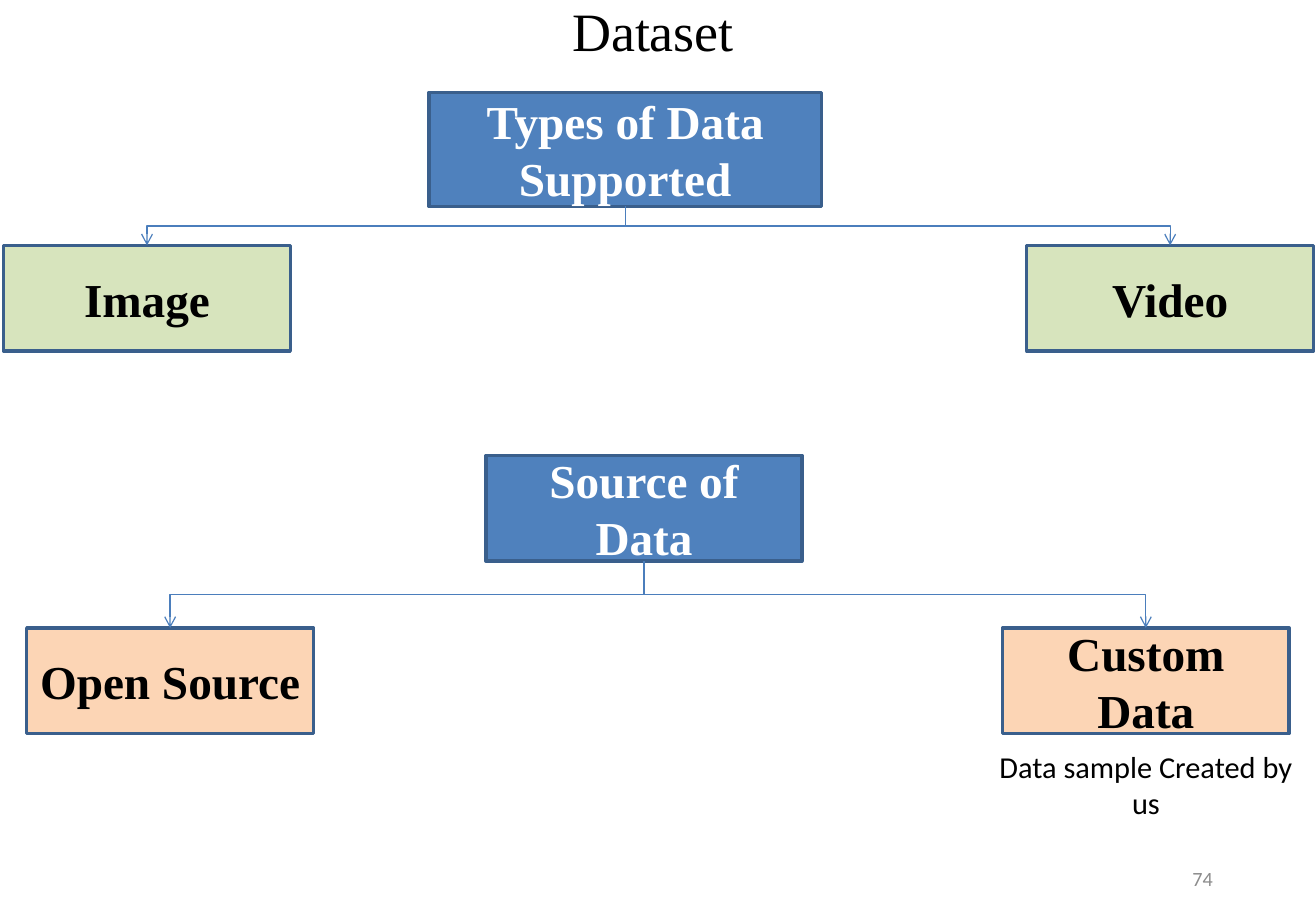
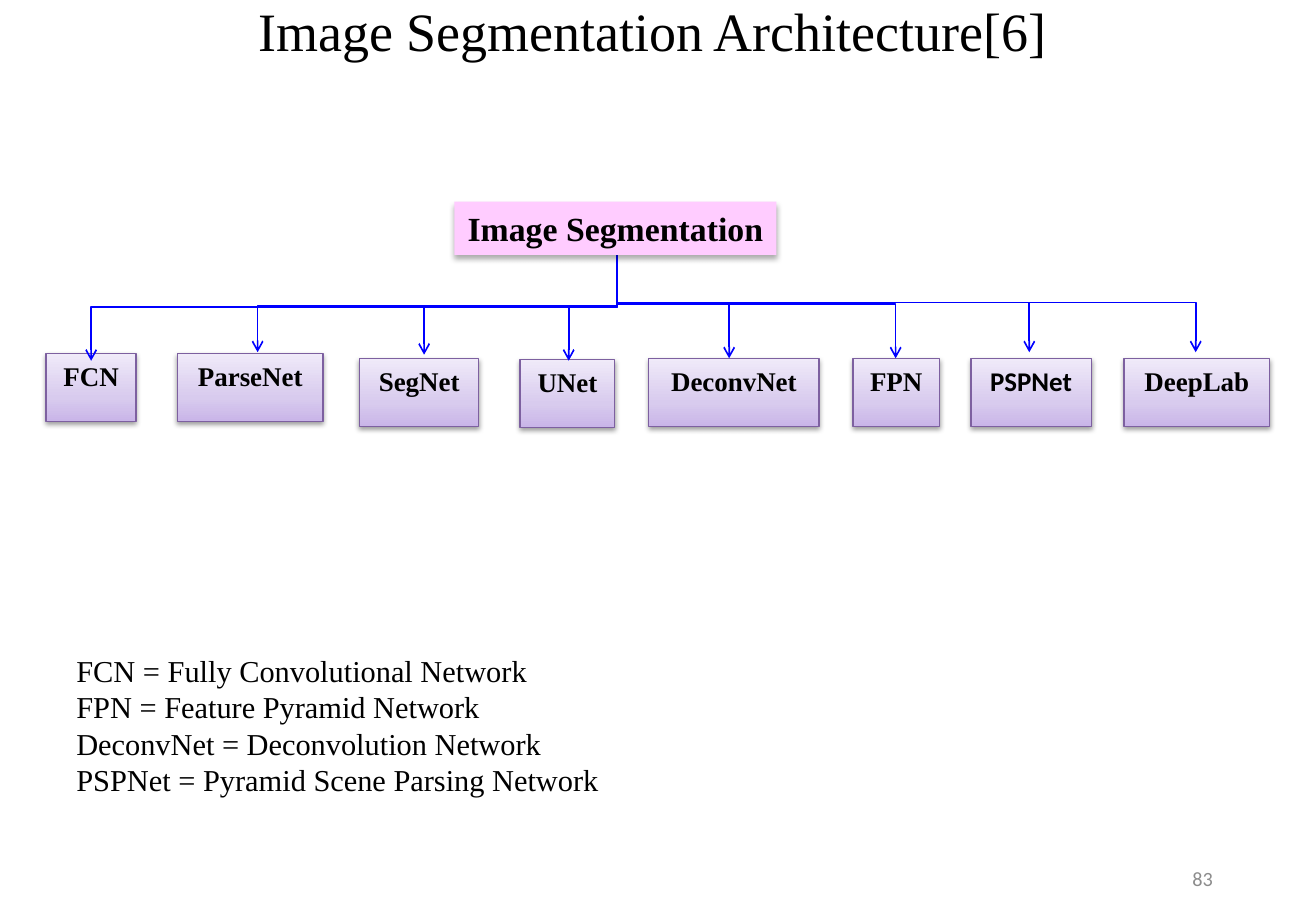
import copy

import pptx
import pptx.dml.color
import pptx.enum.shapes
import pptx.enum.text
import pptx.oxml
import pptx.oxml.ns
import pptx.util

Inches = pptx.util.Inches
Pt = pptx.util.Pt
ALIGN = pptx.enum.text.PP_ALIGN
ANCHOR = pptx.enum.text.MSO_ANCHOR
SERIF, SANS = "Times New Roman", "Calibri"

HUES = {
    "black": "000000", "white": "FFFFFF", "gray": "8C8C8C",
    "blue": "4F81BD", "edge": "3A5F8C", "link": "4B7EBC",
    "green": "D7E4BD", "peach": "FCD5B5", "pink": "FFCCFF",
    "violet": "7D60A0", "arrow": "0000FF",
    "deep": "C9B5E8", "soft": "D8CBEE", "pale": "F0EAF9",
}
FADE = [(0, "deep"), (0.35, "soft"), (1, "pale")]


def color(hue):
    return pptx.dml.color.RGBColor.from_string(HUES[hue])


def node(tag, inner="", **attrs):
    pairs = " ".join(f'{key}="{value}"' for key, value in attrs.items())
    space = pptx.oxml.ns.nsdecls("a")
    return pptx.oxml.parse_xml(f"<a:{tag} {space} {pairs}>{inner}</a:{tag}>")


class Deck:
    def __init__(self):
        self.show = pptx.Presentation()
        self.show.slide_width = Inches(10.83)
        self.show.slide_height = Inches(7.5)
        self.slide = None

    def start(self, title, number):
        """Add a slide with its title and page number."""
        self.slide = self.show.slides.add_slide(self.show.slide_layouts[5])
        head = self.slide.shapes.title
        head.left, head.top = Inches(0.5), Inches(0)
        head.width, head.height = Inches(9.75), Inches(0.5)
        self.label(head, [title], 32)
        self.text((9.58, 7.03, 0.5, 0.4), [number], 12, "gray", SANS,
                  align=ALIGN.RIGHT)

    def label(self, shape, lines, size, hue="black", font=SERIF, bold=False,
              align=ALIGN.CENTER, anchor=ANCHOR.MIDDLE, wrap=True):
        frame = shape.text_frame
        frame.auto_size = pptx.enum.text.MSO_AUTO_SIZE.NONE
        frame.word_wrap = wrap
        frame.vertical_anchor = anchor
        for index, line in enumerate(lines):
            para = frame.add_paragraph() if index else frame.paragraphs[0]
            para.alignment = align
            run = para.add_run()
            run.text = line
            run.font.size, run.font.name = Pt(size), font
            run.font.bold = bold
            run.font.color.rgb = color(hue)

    def text(self, area, lines, size, hue="black", font=SERIF, **style):
        box = self.slide.shapes.add_textbox(*map(Inches, area))
        self.label(box, lines, size, hue, font, **style)

    def box(self, area, name, size, fill=None, edge=None, width=2,
            shadow=None, **style):
        """Draw a bold label in a rectangle; no fill colour means the fade."""
        shape = self.slide.shapes.add_shape(
            pptx.enum.shapes.MSO_SHAPE.RECTANGLE, *map(Inches, area))
        shape.shadow.inherit = False
        if fill:
            shape.fill.solid()
            shape.fill.fore_color.rgb = color(fill)
        else:
            self.fade(shape)
        if edge:
            shape.line.color.rgb = color(edge)
            shape.line.width = Pt(width)
        else:
            shape.line.fill.background()
        if shadow:
            self.shade(shape, *shadow)
        self.label(shape, [name], size, bold=True, **style)

    def fade(self, shape):
        shape.fill.gradient()
        shape.fill.gradient_angle = 90
        stops = shape._element.spPr.find(".//" + pptx.oxml.ns.qn("a:gsLst"))
        stops.insert(1, copy.deepcopy(stops[0]))
        for stop, (place, hue) in zip(shape.fill.gradient_stops, FADE):
            stop.position = place
            stop.color.rgb = color(hue)

    def shade(self, shape, alpha, blur, drop):
        effects = shape._element.spPr.find(pptx.oxml.ns.qn("a:effectLst"))
        tint = (f'<a:srgbClr val="{HUES["black"]}">'
                f'<a:alpha val="{alpha * 1000}"/></a:srgbClr>')
        effects.append(node("outerShdw", tint, blurRad=Pt(blur), dist=Pt(drop),
                            dir=90 * 60000, rotWithShape=0))

    def elbow(self, x1, y1, x2, y2, hue, width):
        """Draw a down-across-down arrow: a sideways elbow, turned upright."""
        mid_x, mid_y = (x1 + x2) / 2, (y1 + y2) / 2
        left = x2 < x1
        half_w = (y2 - y1) / 2 * (1 if left else -1)
        half_h = abs(x2 - x1) / 2
        line = self.slide.shapes.add_connector(
            pptx.enum.shapes.MSO_CONNECTOR.ELBOW,
            Inches(mid_x - half_w), Inches(mid_y - half_h),
            Inches(mid_x + half_w), Inches(mid_y + half_h))
        props = line._element.spPr
        props.xfrm.set("rot", str((90 if left else 270) * 60000))
        line.line.color.rgb = color(hue)
        line.line.width = Pt(width)
        line.line._get_or_add_ln().append(node("tailEnd", type="arrow"))
        props.append(node("effectLst"))

    def tree(self, root, title, leaves, fill):
        """Draw a root box with an arrow to the top of each leaf box."""
        x, y, w, h = root
        self.box(root, title, 28, "blue", "edge", hue="white")
        for left, top, name in leaves:
            self.box((left, top, 2.36, 0.87), name, 28, fill, "edge")
            self.elbow(x + w / 2, y + h, left + 1.18, top, "link", 0.75)


def data_slide(deck):
    deck.start("Dataset", "74")
    deck.tree((4, 3.75, 2.6, 0.87), "Source of Data",
              [(0.22, 5.17, "Open Source"), (8.25, 5.17, "Custom Data")],
              "peach")
    deck.tree((3.53, 0.76, 3.23, 0.94), "Types of Data Supported",
              [(0.03, 2.02, "Image"), (8.45, 2.02, "Video")], "green")
    deck.text((8.02, 6.11, 2.82, 0.71), ["Data sample Created by us"], 18,
              font=SANS, anchor=ANCHOR.TOP)


def model_slide(deck):
    deck.start("Image Segmentation Architecture[6]", "83")
    # name, left, top, width, then arrow start y, end x, end y
    models = [
        ("FCN", 0.38, 2.91, 0.74, 2.08, 0.75, 2.97),
        ("ParseNet", 1.46, 2.91, 1.2, 2.14, 2.12, 2.9),
        ("SegNet", 2.96, 2.95, 0.98, 2.13, 3.49, 2.92),
        ("UNet", 4.28, 2.96, 0.78, 2.08, 4.68, 2.97),
        ("DeconvNet", 5.34, 2.95, 1.4, 2.06, 6, 2.95),
        ("FPN", 7.02, 2.95, 0.71, 2.06, 7.37, 2.95),
        ("PSPNet", 7.99, 2.95, 0.99, 2.08, 8.47, 2.9),
        ("DeepLab", 9.25, 2.95, 1.2, 2.08, 9.84, 2.9),
    ]
    for name, left, top, width, start, end_x, end_y in models:
        deck.box((left, top, width, 0.56), name, 16, edge="violet", width=0.75,
                 shadow=(38, 3.1, 1.6), anchor=ANCHOR.TOP, wrap=False,
                 font=SANS if name == "PSPNet" else SERIF)
        deck.elbow(5.08, start, end_x, end_y, "arrow", 1)
    deck.box((3.74, 1.66, 2.65, 0.44), "Image Segmentation", 20, "pink",
             shadow=(32, 3.5, 2.2), anchor=ANCHOR.TOP, wrap=False)
    deck.text((0.53, 5.32, 4.54, 1.31), [
        "FCN = Fully Convolutional Network",
        "FPN = Feature Pyramid Network",
        "DeconvNet = Deconvolution Network",
        "PSPNet = Pyramid Scene Parsing Network",
    ], 18, align=ALIGN.LEFT, anchor=ANCHOR.TOP, wrap=False)


def main():
    deck = Deck()
    data_slide(deck)
    model_slide(deck)
    deck.show.save("out.pptx")


if __name__ == "__main__":
    main()
